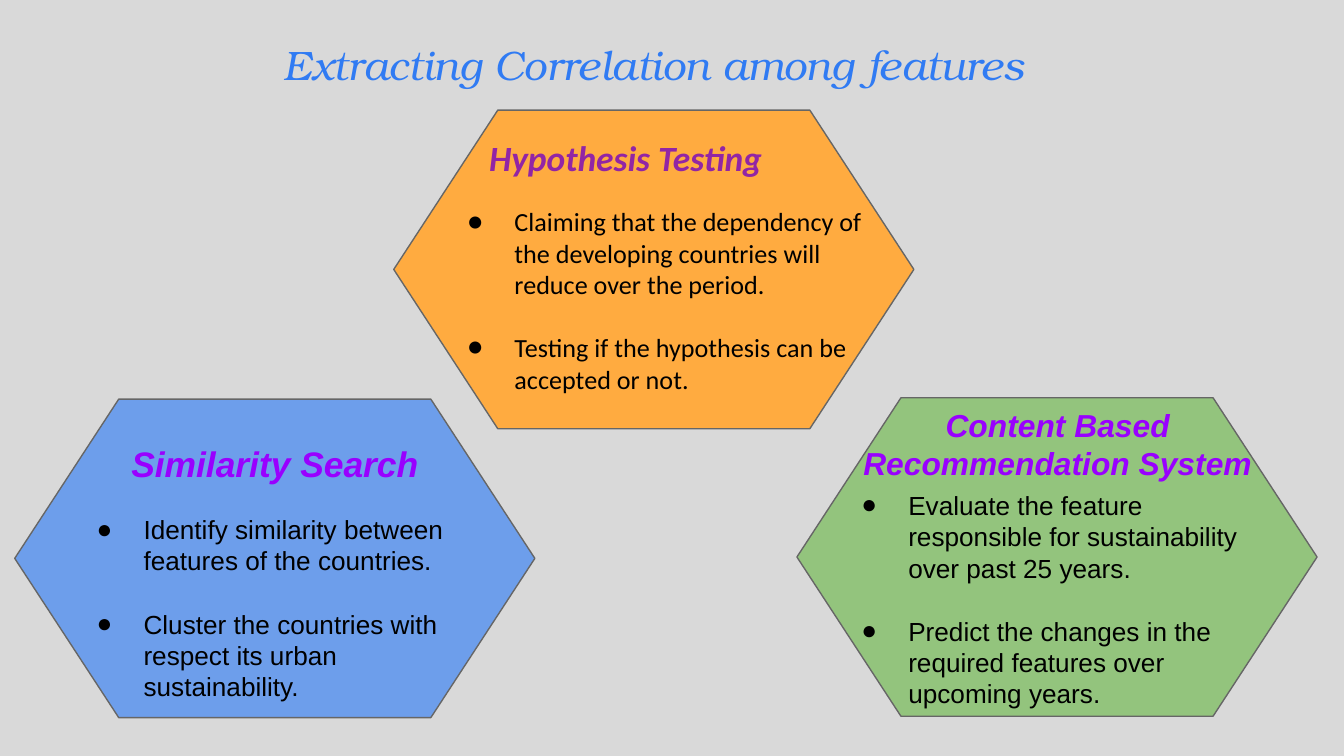
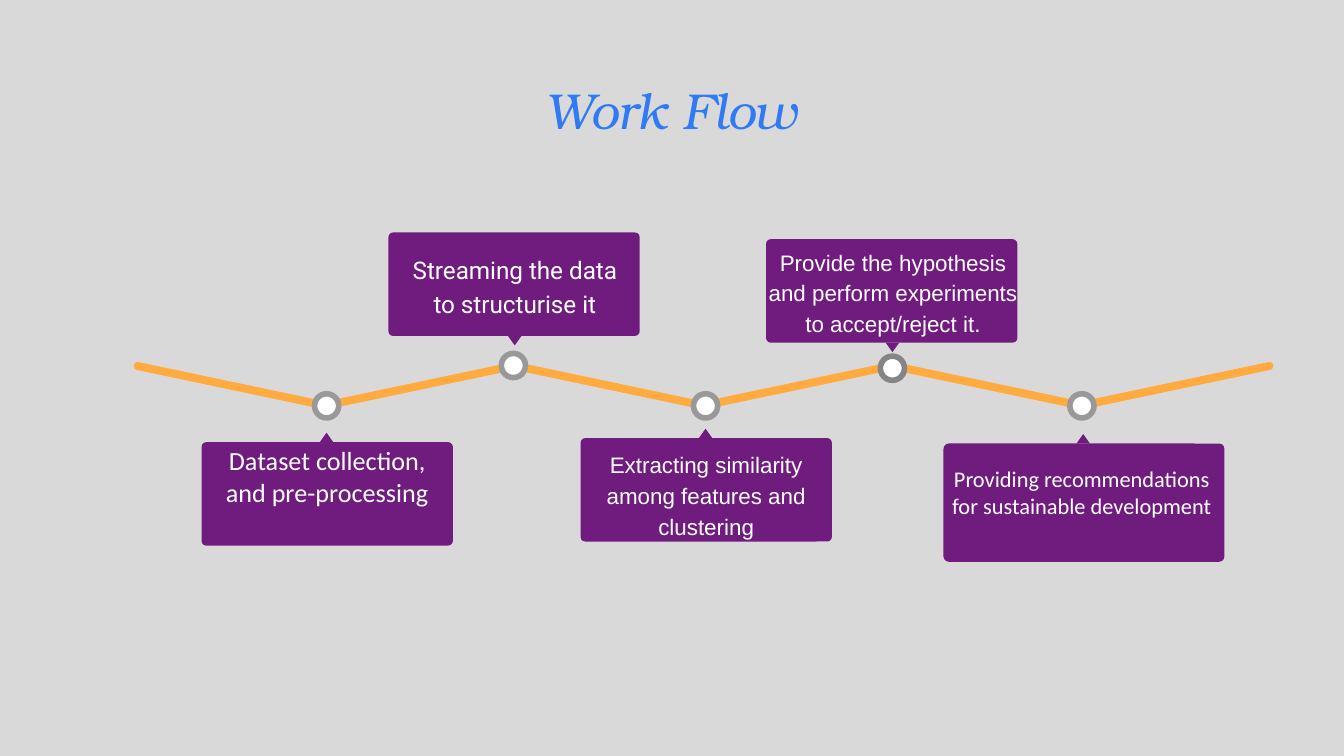
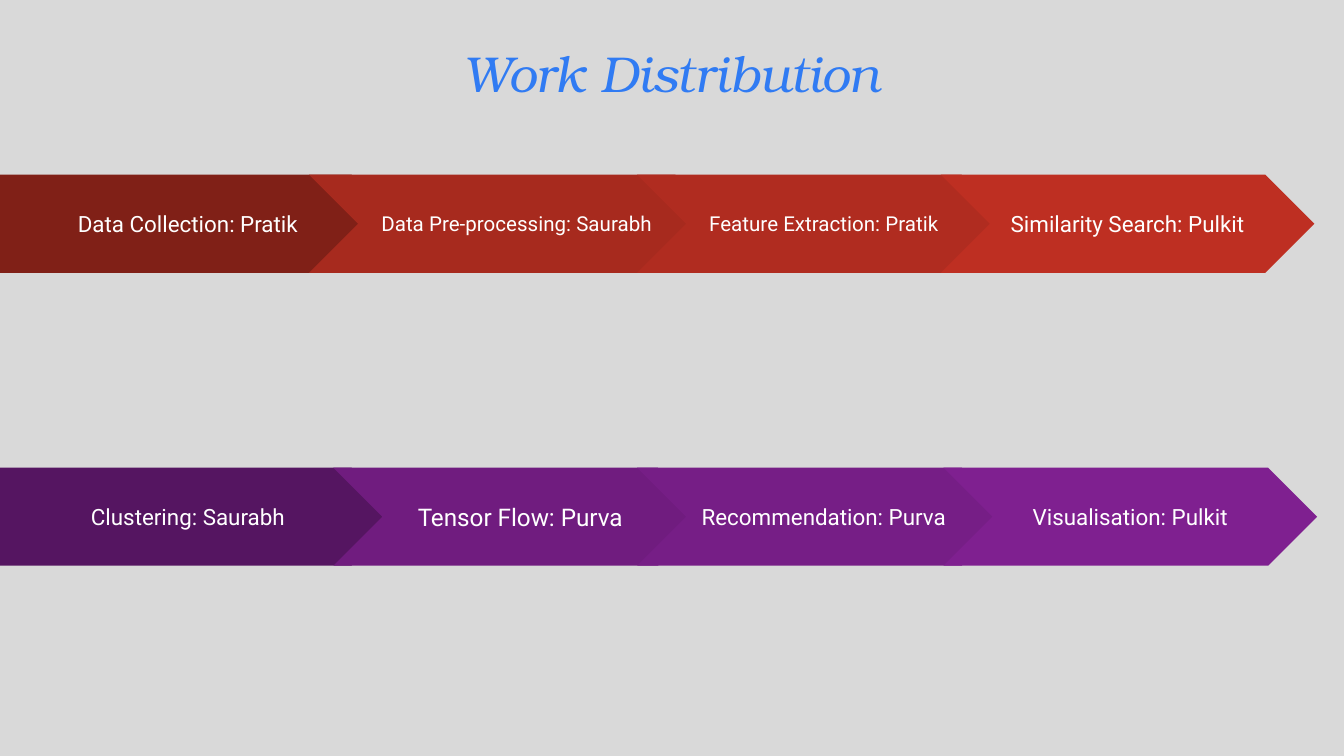
from dataclasses import dataclass
from lxml.etree import SubElement
from pptx import Presentation
from pptx.dml.color import RGBColor
from pptx.enum.shapes import MSO_SHAPE
from pptx.enum.text import MSO_ANCHOR, MSO_AUTO_SIZE, PP_ALIGN
from pptx.oxml.ns import qn
from pptx.util import Inches, Pt


@dataclass(frozen=True)
class Theme:
    background: str = "D9D9D9"
    title: str = "307BF3"
    body: str = "000000"
    light: str = "FFFFFF"
    outline: str = "666666"
    violet: str = "9900FF"
    plum: str = "9225A5"
    card: str = "701C7F"
    orange: str = "FFAB40"
    blue: str = "6D9EEB"
    green: str = "93C47D"
    marker: str = "999999"
    dark_marker: str = "858585"
    reds: tuple = ("802017", "A72A1E", "B02C20", "BE2F22")
    purples: tuple = ("551561", "701C7F", "761E86", "7F2090")
    title_font: str = "TeX Gyre Bonum"
    title_size: int = 27
    long_title_size: int = 22
    heading_size: int = 19
    small_heading_size: int = 17
    body_size: int = 14
    medium_size: int = 13
    label_size: int = 12
    small_size: int = 11
    bullet_gap: int = 17


THEME = Theme()


def add_bullet(paragraph, font, size, color):
    properties = paragraph._p.get_or_add_pPr()
    properties.set("marL", str(Inches(0.5)))
    properties.set("indent", str(Inches(-0.35)))
    bullet_color = SubElement(properties, qn("a:buClr"))
    SubElement(bullet_color, qn("a:srgbClr")).set("val", color)
    SubElement(properties, qn("a:buSzPts")).set("val", str(size * 100))
    SubElement(properties, qn("a:buFont")).set("typeface", font)
    SubElement(properties, qn("a:buChar")).set("char", "●")


def write_text(frame, *texts, font="Arial", size=THEME.body_size, color=THEME.body,
               bold=False, italic=False, align=PP_ALIGN.CENTER, anchor=MSO_ANCHOR.TOP,
               line_spacing=None, bullets=False):
    frame.word_wrap = True
    frame.auto_size = MSO_AUTO_SIZE.NONE
    frame.vertical_anchor = anchor
    frame.margin_left = frame.margin_right = Inches(0.1)
    frame.margin_top = frame.margin_bottom = Inches(0.1)
    for index, text in enumerate(texts):
        paragraph = frame.add_paragraph() if index else frame.paragraphs[0]
        paragraph.alignment = align
        if line_spacing:
            paragraph.line_spacing = line_spacing
        if bullets:
            if index:
                paragraph.space_before = Pt(THEME.bullet_gap)
            add_bullet(paragraph, font, size, color)
        run = paragraph.add_run()
        run.text = text
        run.font.name = font
        run.font.size = Pt(size)
        run.font.bold = bold
        run.font.italic = italic
        run.font.color.rgb = RGBColor.from_string(color)


class Deck:
    def __init__(self, theme):
        self.theme = theme
        self.slide = None
        self.presentation = Presentation()
        self.presentation.slide_width = Inches(10)
        self.presentation.slide_height = Inches(10) * 9 // 16
        fill = self.presentation.slide_master.background.fill
        fill.solid()
        fill.fore_color.rgb = RGBColor.from_string(theme.background)

    def add_slide(self, title, left, top, width, height, size=THEME.title_size):
        self.slide = self.presentation.slides.add_slide(self.presentation.slide_layouts[5])
        shape = self.slide.shapes.title
        shape.left, shape.top = Inches(left), Inches(top)
        shape.width, shape.height = Inches(width), Inches(height)
        write_text(shape.text_frame, title, font=self.theme.title_font, size=size,
                   color=self.theme.title, italic=True)

    def add_shape(self, kind, left, top, width, height, fill, line=None, line_width=0.75,
                  rotation=0, corner=None):
        shape = self.slide.shapes.add_shape(kind, Inches(left), Inches(top),
                                            Inches(width), Inches(height))
        shape.shadow.inherit = False
        shape.fill.solid()
        shape.fill.fore_color.rgb = RGBColor.from_string(fill)
        if line:
            shape.line.color.rgb = RGBColor.from_string(line)
            shape.line.width = Pt(line_width)
        else:
            shape.line.fill.background()
        shape.rotation = rotation
        if corner is not None:
            shape.adjustments[0] = corner
        return shape

    def add_text(self, box, *texts, **style):
        shape = self.slide.shapes.add_textbox(*(Inches(length) for length in box))
        write_text(shape.text_frame, *texts, **style)

    def add_hexagon(self, left, top, fill):
        self.add_shape(MSO_SHAPE.FLOWCHART_PREPARATION, left, top, 3.87, 2.37, fill,
                       line=self.theme.outline)

    def add_topic(self, heading, heading_box, heading_style, bullets, bullet_box, font):
        self.add_text(heading_box, heading, font=font, bold=True, italic=True, **heading_style)
        self.add_text(bullet_box, *bullets, font=font, align=PP_ALIGN.LEFT, bullets=True)

    def add_marker(self, center, middle, line):
        self.add_shape(MSO_SHAPE.OVAL, center - 0.09, middle - 0.09, 0.18, 0.18,
                       self.theme.light, line=line, line_width=3)

    def add_callout(self, center, card, above, text, text_box, **style):
        left, top, width, height = card
        self.add_shape(MSO_SHAPE.ROUNDED_RECTANGLE, left, top, width, height,
                       self.theme.card, corner=0.045)
        pointer_top = top + height if above else top - 0.07
        self.add_shape(MSO_SHAPE.ISOSCELES_TRIANGLE, center - 0.05, pointer_top, 0.1, 0.07,
                       self.theme.card, rotation=180 if above else 0)
        self.add_text(text_box, text, color=self.theme.light, **style)

    def add_process(self, top, steps, colors):
        for index, ((left, width, text, size), color) in enumerate(zip(steps, colors)):
            kind = MSO_SHAPE.CHEVRON if index else MSO_SHAPE.PENTAGON
            shape = self.add_shape(kind, left, top, width, 0.73, color, corner=0.5)
            write_text(shape.text_frame, text, font="Roboto", size=size,
                       color=self.theme.light, anchor=MSO_ANCHOR.MIDDLE)


def build_correlation(deck):
    theme = deck.theme
    deck.add_slide("Extracting Correlation among features", 0.81, 0.19, 8.12, 0.57,
                   size=theme.long_title_size)
    for left, top, fill in ((0.11, 2.97, theme.blue), (5.93, 2.96, theme.green),
                            (2.93, 0.82, theme.orange)):
        deck.add_hexagon(left, top, fill)
    deck.add_topic(
        "Similarity Search", (0.72, 3.19, 2.65, 0.52),
        {"size": theme.heading_size, "color": theme.violet},
        ("Identify similarity between features of the countries.",
         "Cluster the countries with respect its urban sustainability."),
        (0.47, 3.72, 3.16, 1.62), "Arial")
    deck.add_topic(
        "Content Based Recommendation System", (6.29, 2.92, 3.16, 0.77),
        {"size": theme.small_heading_size, "color": theme.violet},
        ("Evaluate the feature responsible for sustainability over past 25 years.",
         "Predict the changes in the required features over upcoming years."),
        (6.16, 3.54, 3.42, 1.85), "Arial")
    deck.add_topic(
        "Hypothesis Testing", (3.54, 0.91, 2.65, 0.52),
        {"size": theme.heading_size, "color": theme.plum, "align": PP_ALIGN.LEFT},
        ("Claiming that the dependency of the developing countries will reduce over the period.",
         "Testing if the hypothesis can be accepted or not."),
        (3.23, 1.43, 3.33, 1.62), "Calibri")


def build_workflow(deck):
    theme = deck.theme
    deck.add_slide("Work Flow", 0.34, 0.49, 9.32, 0.63)
    for index in range(6):
        deck.add_shape(MSO_SHAPE.ROUNDED_RECTANGLE, 0.98 + 7.03 * index / 5, 2.84, 1.48, 0.06,
                       theme.orange, rotation=-11.9 if index % 2 else 11.9, corner=0.5)
    for center, middle, line in ((2.43, 3.02, theme.marker), (3.82, 2.72, theme.marker),
                                 (5.25, 3.02, theme.marker), (6.64, 2.74, theme.dark_marker),
                                 (8.05, 3.02, theme.marker)):
        deck.add_marker(center, middle, line)
    deck.add_callout(2.43, (1.5, 3.29, 1.87, 0.77), False,
                     "Dataset collection, and pre-processing", (1.53, 3.21, 1.81, 0.91),
                     font="Calibri", size=theme.body_size)
    deck.add_callout(3.83, (2.89, 1.73, 1.87, 0.77), True,
                     "Streaming the data to structurise it", (2.94, 1.77, 1.78, 0.68),
                     font="Roboto", size=theme.medium_size, line_spacing=1.15)
    deck.add_callout(5.25, (4.32, 3.26, 1.87, 0.77), False,
                     "Extracting similarity among features and clustering",
                     (4.29, 3.23, 1.93, 0.86), size=theme.label_size, line_spacing=1.15)
    deck.add_callout(6.64, (5.7, 1.78, 1.87, 0.77), True,
                     "Provide the hypothesis and perform experiments to accept/reject it.",
                     (5.6, 1.72, 2.09, 0.95), size=theme.label_size, line_spacing=1.15)
    deck.add_callout(8.06, (7.02, 3.3, 2.09, 0.88), False,
                     "Providing recommendations for sustainable development",
                     (6.95, 3.36, 2.2, 0.81), font="Calibri", size=theme.label_size)


def build_distribution(deck):
    theme = deck.theme
    deck.add_slide("Work Distribution", 2.98, 0.21, 4.04, 0.66)
    deck.add_process(1.3, (
        (0, 2.98, "Data Collection: Pratik", theme.label_size),
        (2.3, 3.09, "Data Pre-processing: Saurabh", theme.small_size),
        (4.74, 2.78, "Feature Extraction: Pratik", theme.small_size),
        (7, 2.78, "Similarity Search: Pulkit", theme.label_size),
    ), theme.reds)
    deck.add_process(3.48, (
        (0, 2.98, "Clustering: Saurabh", theme.label_size),
        (2.48, 2.78, "Tensor Flow: Purva", theme.medium_size),
        (4.74, 2.78, "Recommendation: Purva", theme.label_size),
        (7.02, 2.78, "Visualisation: Pulkit", theme.label_size),
    ), theme.purples)


def main():
    deck = Deck(THEME)
    build_correlation(deck)
    build_workflow(deck)
    build_distribution(deck)
    deck.presentation.save("out.pptx")


if __name__ == "__main__":
    main()
